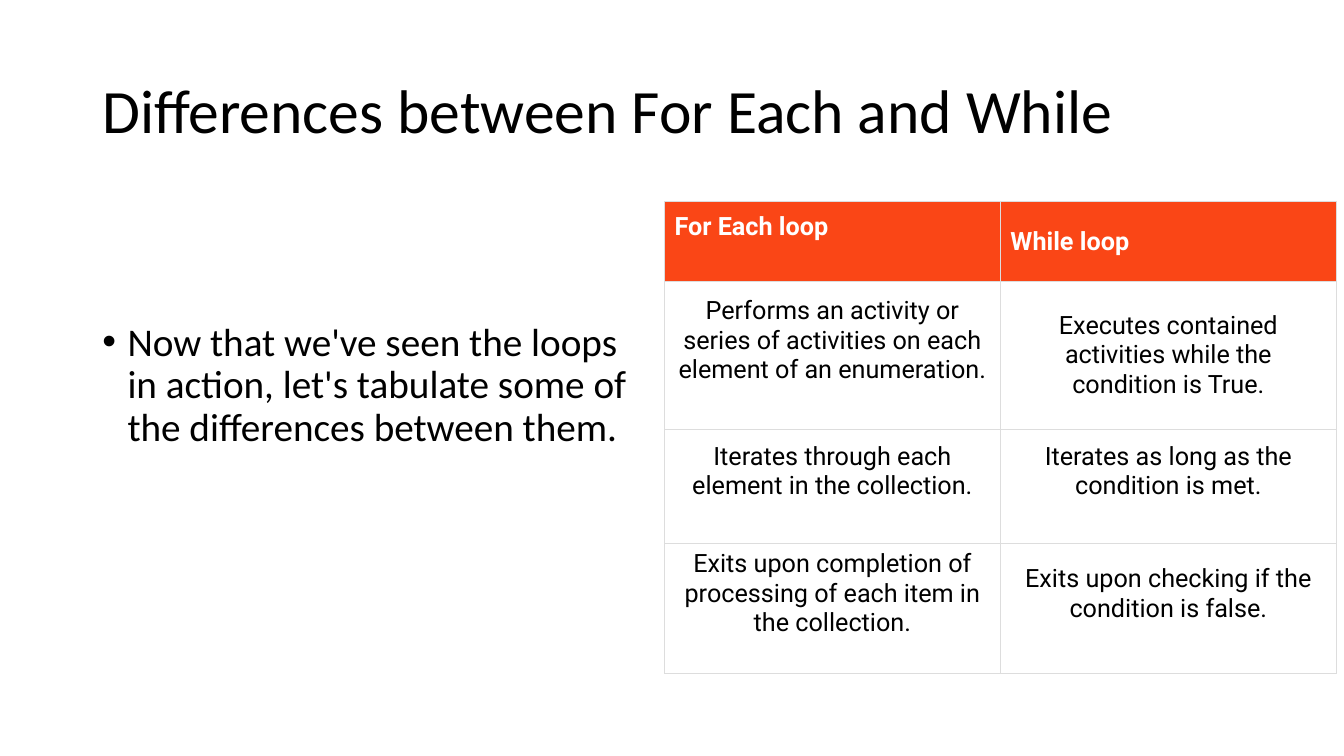
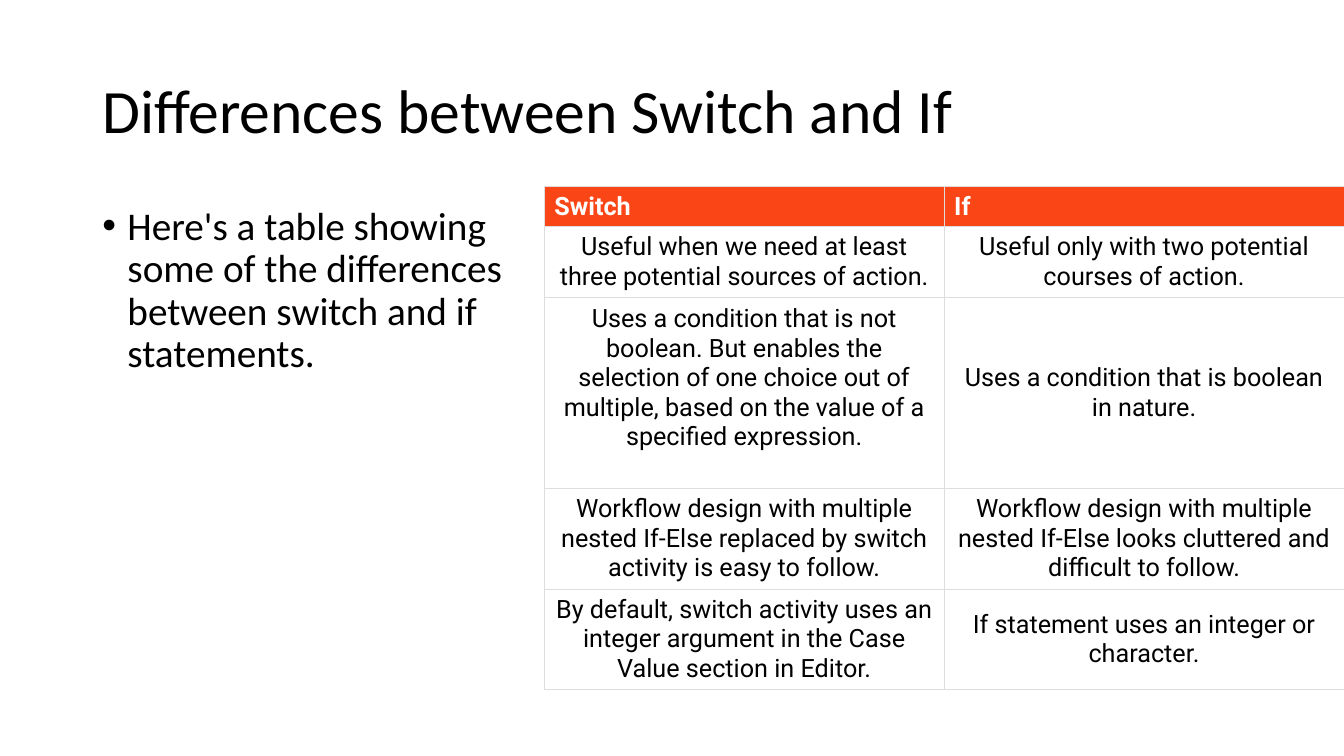
from dataclasses import dataclass

import pptx
import pptx.util
from lxml import etree
from pptx.dml.color import RGBColor
from pptx.enum.text import MSO_ANCHOR, PP_ALIGN
from pptx.oxml.ns import qn


@dataclass(frozen=True)
class Theme:
    ink: str = "000000"
    paper: str = "FFFFFF"
    accent: str = "FA4616"
    rule: str = "DDDDDD"
    text_font: str = "Calibri"
    table_font: str = "Roboto"
    title_size: int = 44
    body_size: int = 28
    table_size: int = 18
    rule_width: float = 0.75


THEME = Theme()
COLUMNS, ROWS = 160, 90
UNIT = pptx.util.Inches(7.5) / ROWS
LEFT = 11
BODY_BOTTOM = 81.1
CELL_PAD = 0.6
LIFT = 3.5  # one table line, held free below a lifted text

SLIDES = [
    dict(
        title="Differences between For Each and While",
        body="Now that we've seen the loops in action, let's tabulate some of the differences between them.",
        body_top=37.8,
        table_left=79.1, table_top=24, column_width=40,
        row_heights=[9.5, 17.6, 13.6, 15.2],
        lifted={(0, 0), (1, 0), (2, 0), (2, 1), (3, 0), (3, 1)},
        comparison=[
            ("For Each loop", "While loop"),
            ("Performs an activity or series of activities on each element of an enumeration.",
             "Executes contained activities while the condition is True."),
            ("Iterates through each element in the collection.",
             "Iterates as long as the condition is met."),
            ("Exits upon completion of processing of each item in the collection.",
             "Exits upon checking if the condition is false."),
        ],
    ),
    dict(
        title="Differences between Switch and If",
        body="Here's a table showing some of the differences between switch and if statements.",
        body_top=24,
        table_left=64.8, table_top=22.2, column_width=47.6,
        row_heights=[4.7, 8.3, 22.3, 11.8, 11.8],
        lifted={(2, 0)},
        comparison=[
            ("Switch", "If"),
            ("Useful when we need at least three potential sources of action.",
             "Useful only with two potential courses of action."),
            ("Uses a condition that is not boolean. But enables the selection of one choice out of "
             "multiple, based on the value of a specified expression.",
             "Uses a condition that is boolean in nature."),
            ("Workflow design with multiple nested If-Else replaced by switch activity is easy to follow.",
             "Workflow design with multiple nested If-Else looks cluttered and difficult to follow."),
            ("By default, switch activity uses an integer argument in the Case Value section in Editor.",
             "If statement uses an integer or character."),
        ],
    ),
]


def grid(*cells):
    """Turn counts of grid cells into lengths."""
    return [pptx.util.Emu(round(count * UNIT)) for count in cells]


def write(frame, text, size, font=THEME.text_font, color=THEME.ink, bold=False,
          align=PP_ALIGN.LEFT, spacing=None, bullet=None):
    frame.word_wrap = True
    paragraph = frame.paragraphs[0]
    if bullet:
        properties = paragraph._p.get_or_add_pPr()
        indent = grid(3)[0]
        properties.set("marL", str(indent))
        properties.set("indent", str(-indent))
        etree.SubElement(properties, qn("a:buFont"), typeface="Arial")
        etree.SubElement(properties, qn("a:buChar"), char=bullet)
    paragraph.alignment = align
    if spacing:
        paragraph.line_spacing = spacing
    run = paragraph.add_run()
    run.text = text
    run.font.size = pptx.util.Pt(size)
    run.font.name = font
    run.font.bold = bold
    run.font.color.rgb = RGBColor.from_string(color)


deck = pptx.Presentation()
deck.slide_width, deck.slide_height = grid(COLUMNS, ROWS)

for content in SLIDES:
    slide = deck.slides.add_slide(deck.slide_layouts[6])

    title = slide.shapes.add_textbox(*grid(LEFT, 4.8, 138, 17.4)).text_frame
    title.vertical_anchor = MSO_ANCHOR.MIDDLE
    write(title, content["title"], THEME.title_size, spacing=0.9)

    body = slide.shapes.add_textbox(*grid(
        LEFT, content["body_top"],
        content["table_left"] - LEFT, BODY_BOTTOM - content["body_top"])).text_frame
    write(body, content["body"], THEME.body_size, spacing=0.9, bullet="•")

    comparison = content["comparison"]
    heights = content["row_heights"]
    table = slide.shapes.add_table(
        len(comparison), 2,
        *grid(content["table_left"], content["table_top"],
              2 * content["column_width"], sum(heights))).table
    table.first_row = table.horz_banding = False
    for column in table.columns:
        column.width = grid(content["column_width"])[0]
    for row, height in zip(table.rows, heights):
        row.height = grid(height)[0]

    for row_index, texts in enumerate(comparison):
        header = row_index == 0
        for column_index, text in enumerate(texts):
            cell = table.cell(row_index, column_index)
            cell.vertical_anchor = MSO_ANCHOR.MIDDLE
            lift = LIFT if (row_index, column_index) in content["lifted"] else 0
            cell.margin_top, cell.margin_bottom = grid(CELL_PAD, CELL_PAD + lift)
            properties = cell._tc.get_or_add_tcPr()
            for side in ("a:lnL", "a:lnR", "a:lnT", "a:lnB"):
                line = etree.SubElement(properties, qn(side),
                                        w=str(pptx.util.Pt(THEME.rule_width)))
                ink = etree.SubElement(line, qn("a:solidFill"))
                etree.SubElement(ink, qn("a:srgbClr"), val=THEME.rule)
            cell.fill.solid()
            cell.fill.fore_color.rgb = RGBColor.from_string(
                THEME.accent if header else THEME.paper)
            write(cell.text_frame, text, THEME.table_size, font=THEME.table_font,
                  color=THEME.paper if header else THEME.ink, bold=header,
                  align=PP_ALIGN.LEFT if header else PP_ALIGN.CENTER)

deck.save("out.pptx")
